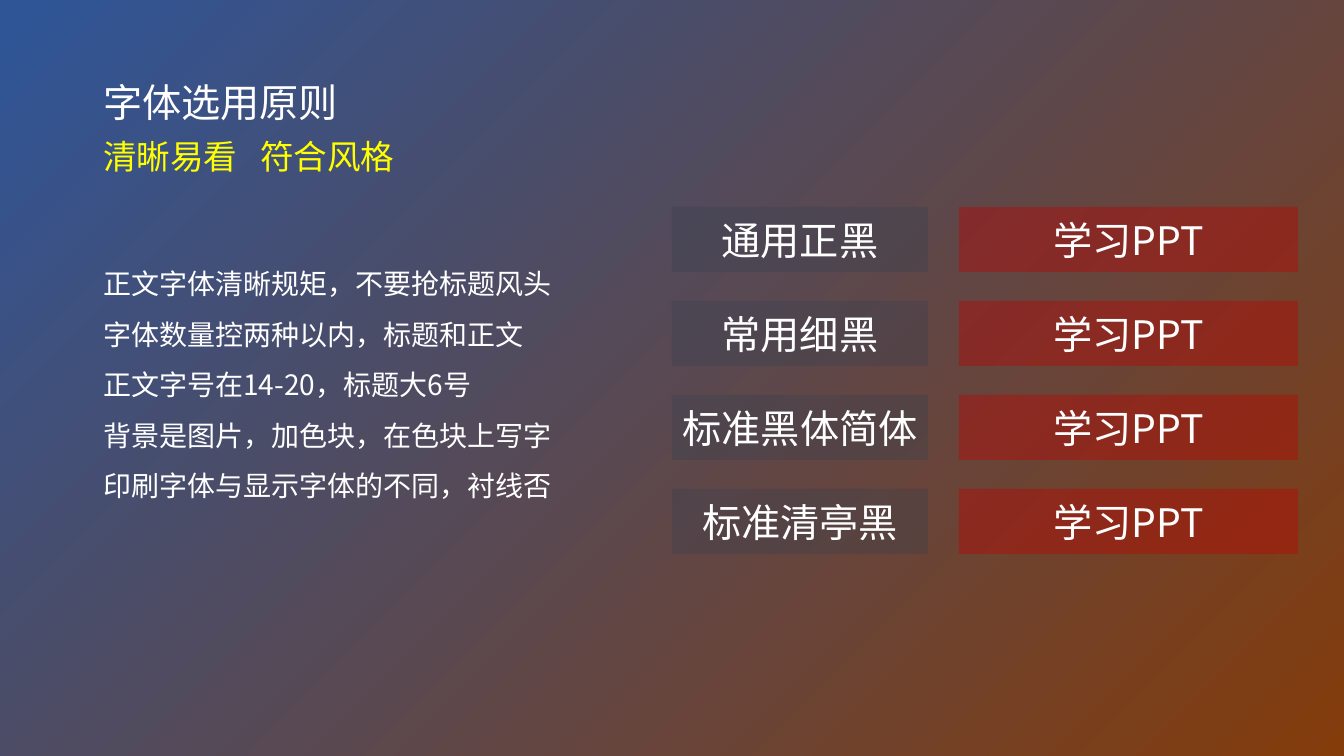
"""Build a slide on the principles of choosing fonts."""
from lxml import etree
from pptx import Presentation
from pptx import util as u
from pptx.dml.color import RGBColor
from pptx.enum import shapes, text
from pptx.oxml import ns

SCALE = 914400 / 100.8
FONT = "Noto Sans CJK SC"
COLORS = {
    "blue": "2F5597",
    "brown": "843C0B",
    "white": "FFFFFF",
    "yellow": "FFFF00",
    "red": "C00000",
    "slate": "333F50",
}
PRINCIPLES = [
    "正文字体清晰规矩，不要抢标题风头",
    "字体数量控两种以内，标题和正文",
    "正文字号在14-20，标题大6号",
    "背景是图片，加色块，在色块上写字",
    "印刷字体与显示字体的不同，衬线否",
]
FONT_NAMES = ["通用正黑", "常用细黑", "标准黑体简体", "标准清亭黑"]
SAMPLE = "学习PPT"
ROW_TOP, ROW_PITCH, ROW_HEIGHT = 207, 94, 65


def px(value):
    """Turn pixels into EMU."""
    return u.Emu(round(value * SCALE))


def add_child(parent, tag, **attributes):
    """Append a DrawingML element to a parent."""
    return etree.SubElement(parent, ns.qn(tag), attributes)


def add_run(paragraph, words, size, color):
    """Add one run in the slide font."""
    run = paragraph.add_run()
    run.text = words
    run.font.size = u.Pt(size)
    run.font.name = FONT
    run.font.color.rgb = RGBColor.from_string(COLORS[color])
    add_child(run.font._element, "a:ea", typeface=FONT)


def paint_background(slide):
    """Fill the background with a gradient centred on the bottom right corner."""
    fill = slide.background.fill
    fill.gradient()
    gradient = slide.background._cSld.find(".//" + ns.qn("a:gradFill"))
    for child in list(gradient):
        gradient.remove(child)
    stops = add_child(gradient, "a:gsLst")
    for position, color in (("0", "brown"), ("99000", "blue")):
        stop = add_child(stops, "a:gs", pos=position)
        add_child(stop, "a:srgbClr", val=COLORS[color])
    circle = add_child(gradient, "a:path", path="circle")
    add_child(circle, "a:fillToRect", l="100000", t="100000")


def prepare_placeholder(shape, left, top, width, height):
    """Move a placeholder and return its top-anchored text frame."""
    shape.left, shape.top = px(left), px(top)
    shape.width, shape.height = px(width), px(height)
    frame = shape.text_frame
    frame.word_wrap = True
    frame.auto_size = text.MSO_AUTO_SIZE.NONE
    frame.vertical_anchor = text.MSO_ANCHOR.TOP
    return frame


def format_paragraph(paragraph, line_spacing, space_before):
    """Left-align a paragraph and set its spacing."""
    paragraph.alignment = text.PP_ALIGN.LEFT
    paragraph.line_spacing = line_spacing
    paragraph.space_before = u.Pt(space_before)


def write_heading(shape):
    """Write the title and its tabbed subtitle."""
    frame = prepare_placeholder(shape, 93, 79, 1159, 120)
    title, subtitle = frame.paragraphs[0], frame.add_paragraph()
    for paragraph in (title, subtitle):
        format_paragraph(paragraph, 0.9, 10)
    add_run(title, "字体选用原则", 28, "white")
    add_run(subtitle, "清晰易看\t符合风格", 24, "yellow")
    tabs = add_child(subtitle._p.get_or_add_pPr(), "a:tabLst")
    add_child(tabs, "a:tab", pos=str(px(157)), algn="l")


def write_principles(shape):
    """Write the unbulleted list of principles."""
    frame = prepare_placeholder(shape, 93, 245, 475, 310)
    for index, principle in enumerate(PRINCIPLES):
        paragraph = frame.add_paragraph() if index else frame.paragraphs[0]
        format_paragraph(paragraph, 1.5, 0)
        properties = paragraph._p.get_or_add_pPr()
        properties.set("marL", "0")
        properties.set("indent", "0")
        add_child(properties, "a:buNone")
        add_run(paragraph, principle, 20, "white")


def add_block(slide, left, top, width, words, color, opacity):
    """Add a translucent rectangle with centred text."""
    shape = slide.shapes.add_shape(
        shapes.MSO_SHAPE.RECTANGLE, px(left), px(top), px(width), px(ROW_HEIGHT))
    shape.shadow.inherit = False
    shape.line.fill.background()
    shape.fill.solid()
    shape.fill.fore_color.rgb = RGBColor.from_string(COLORS[color])
    fill_color = shape._element.spPr.find(ns.qn("a:solidFill"))[0]
    add_child(fill_color, "a:alpha", val=str(opacity * 1000))
    frame = shape.text_frame
    frame.word_wrap = True
    frame.vertical_anchor = text.MSO_ANCHOR.MIDDLE
    paragraph = frame.paragraphs[0]
    paragraph.alignment = text.PP_ALIGN.CENTER
    add_run(paragraph, words, 28, "white")


def main():
    """Build and save the presentation."""
    presentation = Presentation()
    presentation.slide_width, presentation.slide_height = px(1344), px(756)
    slide = presentation.slides.add_slide(presentation.slide_layouts[1])
    paint_background(slide)
    write_heading(slide.shapes.title)
    write_principles(slide.placeholders[1])
    for row, font_name in enumerate(FONT_NAMES):
        top = ROW_TOP + row * ROW_PITCH
        add_block(slide, 672, top, 256, font_name, "slate", 31)
        add_block(slide, 959, top, 339, SAMPLE, "red", 38)
    presentation.save("out.pptx")


main()
